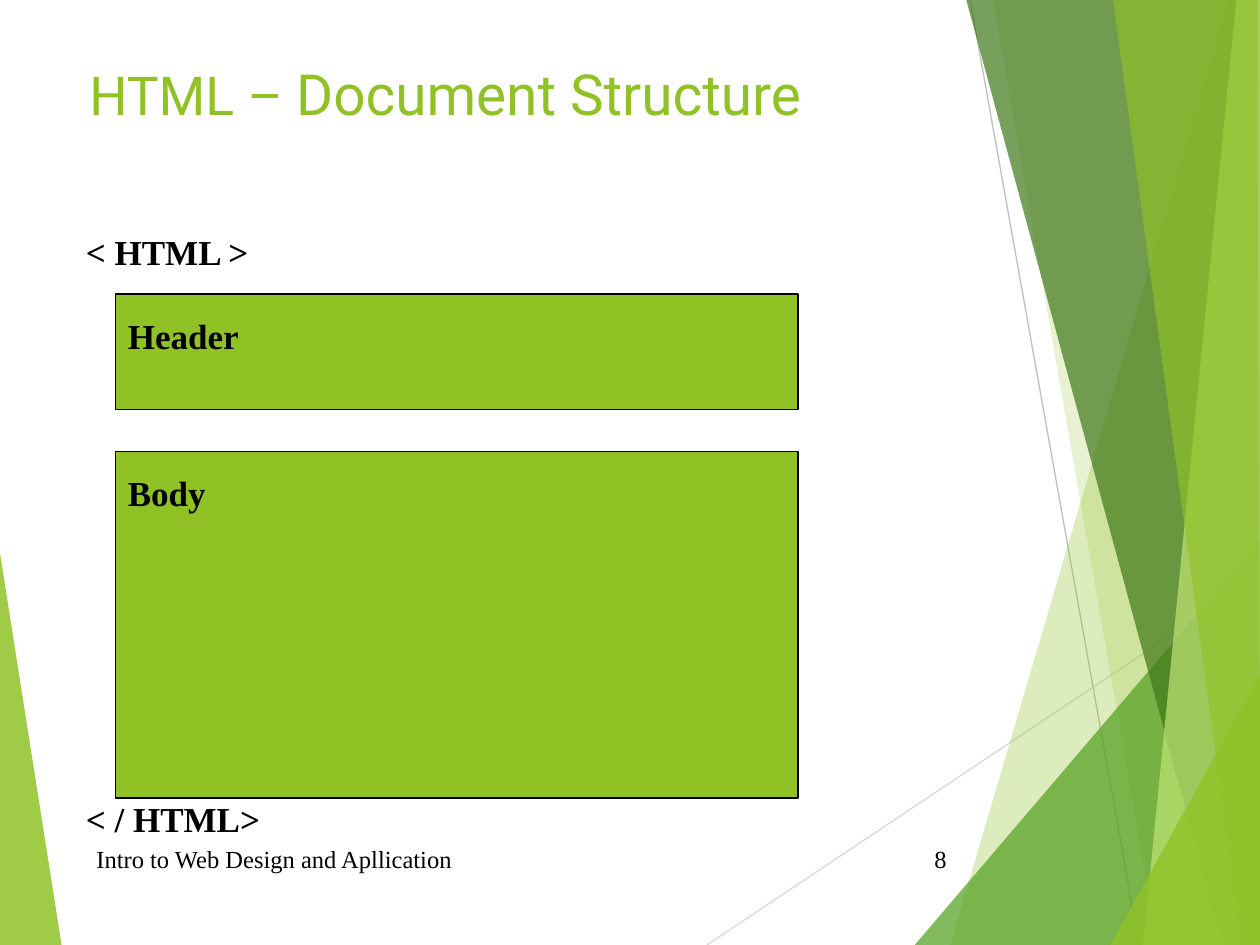
from dataclasses import dataclass

from lxml import etree
from pptx import Presentation
from pptx.dml.color import RGBColor
from pptx.enum import shapes, text
from pptx.oxml import ns
from pptx.util import Pt


@dataclass(frozen=True)
class Theme:
    green: str = "90C226"
    mid_green: str = "54A021"
    dark_green: str = "3F7819"
    pale_green: str = "C0E474"
    light_gray: str = "D9D9D9"
    gray: str = "BFBFBF"
    black: str = "000000"
    title_font: str = "Roboto"
    body_font: str = "Times New Roman"
    tag_size: float = 30.6
    title_size: float = 32.4
    label_size: float = 20
    footer_size: float = 14
    line_width: float = 0.75


theme = Theme()
WIDTH, HEIGHT = 720, 540

# Content: lengths in points
title_runs = [("HTML – ", theme.tag_size), ("Document Structure", theme.title_size)]
sections = [("Header", 168, 66), ("Body", 258, 198)]  # label, top, height
tags = [("< HTML >", 126), ("< / HTML>", 450)]  # text, top
footers = [("Intro to Web Design and Apllication", 48, 364, text.PP_ALIGN.LEFT),
           ("8", 507.5, 40.5, text.PP_ALIGN.RIGHT)]  # text, left, width, alignment

SECTION_LEFT, SECTION_WIDTH, TAG_LEFT = 66, 390, 42
LABEL_WIDTH, LABEL_HEIGHT, LABEL_DROP = 136, 31, 8
FOOTER_TOP, FOOTER_HEIGHT = 476, 29

# Decoration: outline, colour, opacity in percent
left_facet = ([(0, 316), (35.2, HEIGHT), (0, HEIGHT)], theme.green, 85)
rays = [((404, HEIGHT), (WIDTH, 329), theme.light_gray),
        ((554.4, 0), (651, HEIGHT), theme.gray)]
right_facets = [
    ([(702, 0), (543, HEIGHT), (WIDTH, HEIGHT), (WIDTH, 0)], theme.green, 30),
    ([(567.5, 0), (661.5, HEIGHT), (WIDTH, HEIGHT), (WIDTH, 0)], theme.green, 20),
    ([(522.7, HEIGHT), (WIDTH, 309), (WIDTH, HEIGHT)], theme.mid_green, 72),
    ([(552.2, 0), (698.5, HEIGHT), (WIDTH, HEIGHT), (WIDTH, 0)], theme.dark_green, 70),
    ([(706.5, 0), (653.2, HEIGHT), (WIDTH, HEIGHT), (WIDTH, 0)], theme.pale_green, 70),
    ([(636, 0), (709.5, HEIGHT), (WIDTH, HEIGHT), (718.6, 0)], theme.green, 65),
    ([(634.5, HEIGHT), (WIDTH, 385.5), (WIDTH, HEIGHT)], theme.green, 80),
]


def color(value):
    return RGBColor.from_string(value)


def add_facet(slide, outline, fill, opacity):
    points = [(Pt(x), Pt(y)) for x, y in outline]
    builder = slide.shapes.build_freeform(*points[0])
    builder.add_line_segments(points[1:], close=True)
    shape = builder.convert_to_shape()
    shape.shadow.inherit = False
    shape.fill.solid()
    shape.fill.fore_color.rgb = color(fill)
    shape.line.fill.background()
    fill_color = shape._element.spPr.find(ns.qn("a:solidFill"))[0]
    etree.SubElement(fill_color, ns.qn("a:alpha"), val=str(opacity * 1000))


def add_ray(slide, start, end, stroke):
    line = slide.shapes.add_connector(
        shapes.MSO_CONNECTOR.STRAIGHT, *map(Pt, start + end))
    line.line.color.rgb = color(stroke)
    line.line.width = Pt(theme.line_width)
    etree.SubElement(line._element.spPr, ns.qn("a:effectLst"))


def add_text(slide, box, runs, font_name, font_color, bold=False,
             align=text.PP_ALIGN.LEFT, anchor=text.MSO_ANCHOR.TOP):
    frame = slide.shapes.add_textbox(*map(Pt, box)).text_frame
    frame.word_wrap = True
    frame.vertical_anchor = anchor
    paragraph = frame.paragraphs[0]
    paragraph.alignment = align
    paragraph.font.name = font_name
    paragraph.font.bold = bold
    paragraph.font.color.rgb = color(font_color)
    for words, size in runs:
        run = paragraph.add_run()
        run.text = words
        run.font.size = Pt(size)


def add_label(slide, words, left, top):
    add_text(slide, (left, top, LABEL_WIDTH, LABEL_HEIGHT),
             [(words, theme.label_size)], theme.body_font, theme.black, bold=True)


presentation = Presentation()
presentation.slide_width, presentation.slide_height = Pt(WIDTH), Pt(HEIGHT)
slide = presentation.slides.add_slide(presentation.slide_layouts[6])

# Background facets and rays
add_facet(slide, *left_facet)
for ray in rays:
    add_ray(slide, *ray)
for facet in right_facets:
    add_facet(slide, *facet)

# Footer and title
for words, left, width, align in footers:
    add_text(slide, (left, FOOTER_TOP, width, FOOTER_HEIGHT),
             [(words, theme.footer_size)], theme.body_font, theme.black,
             align=align, anchor=text.MSO_ANCHOR.MIDDLE)
add_text(slide, (44, 30, 500, 48), title_runs, theme.title_font, theme.green)

# Document sections between the opening and closing tags
for label, top, height in sections:
    section = slide.shapes.add_shape(
        shapes.MSO_SHAPE.RECTANGLE,
        *map(Pt, (SECTION_LEFT, top, SECTION_WIDTH, height)))
    section.shadow.inherit = False
    section.fill.solid()
    section.fill.fore_color.rgb = color(theme.green)
    section.line.color.rgb = color(theme.black)
    section.line.width = Pt(theme.line_width)
    add_label(slide, label, SECTION_LEFT, top + LABEL_DROP)
for words, top in tags:
    add_label(slide, words, TAG_LEFT, top + 2)

presentation.save("out.pptx")
